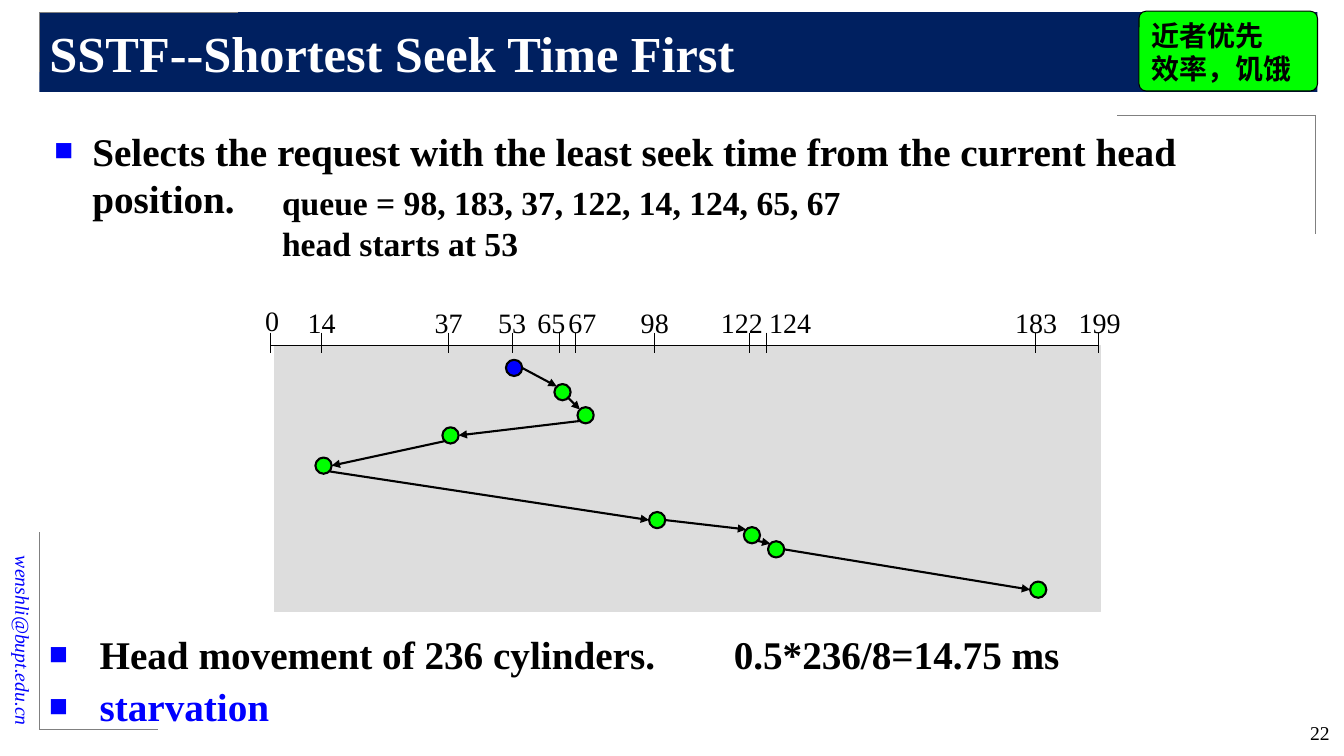
import pptx
import pptx.util
import pptx.dml.color
import pptx.enum.shapes
import pptx.enum.text
import pptx.oxml.ns
from lxml import etree
from itertools import pairwise

Pt = pptx.util.Pt
SHAPE = pptx.enum.shapes.MSO_SHAPE
ALIGN = pptx.enum.text.PP_ALIGN
ANCHOR = pptx.enum.text.MSO_ANCHOR
qn = pptx.oxml.ns.qn

# Content
TITLE = "SSTF--Shortest Seek Time First"
DEFINITION = ["Selects the request with the least seek time from the current head position."]
QUEUE = ["queue = 98, 183, 37, 122, 14, 124, 65, 67", "head starts at 53"]
RESULTS = ["Head movement of 236 cylinders.\t0.5*236/8=14.75 ms", "starvation"]
REMARK = ["近者优先", "效率，饥饿"]
EMAIL = "wenshli@bupt.edu.cn"
PAGE = "22"

# Cylinder, tick x, sideways shift of its label
TICKS = [
    ("0", 193, 1.4), ("14", 229.7, 0), ("37", 320.4, 0), ("53", 365.8, 0),
    ("65", 399.6, -5.7), ("67", 411.1, 5), ("98", 467.7, 0), ("122", 535.7, -5.8),
    ("124", 547.2, 17.3), ("183", 739.4, 0.7), ("199", 784.8, 0.7),
]
# Head stops in order: centre x, centre y, side where the arrow enters, side where it leaves
STOPS = [
    (367.2, 262.8, None, "E"), (401.8, 280.1, "NW", "SE"), (418.3, 296.6, "NW", "SW"),
    (321.8, 311, "E", "SW"), (231.1, 332.6, "E", "SE"), (469.4, 371.5, "W", "E"),
    (537.1, 382.3, "NW", "SE"), (554.4, 392.4, "NW", "E"), (741.6, 421.2, "W", None),
]
RADIUS = 5.8
DIAGONAL = RADIUS * 0.71
SIDES = {"E": (RADIUS, 0), "W": (-RADIUS, 0), "NW": (-DIAGONAL, -DIAGONAL),
         "SW": (-DIAGONAL, DIAGONAL), "SE": (DIAGONAL, DIAGONAL)}

# Corner decoration: corner point, then the far end of each arm
CORNERS = [
    ((28.1, 8.6), (28.1, 51.1), (169.9, 8.6)),
    ((28.1, 521.3), (28.1, 380.2), (113, 521.3)),
    ((939.6, 82.1), (939.6, 167), (797.8, 82.1)),
]
COLORS = {"navy": "002060", "white": "FFFFFF", "black": "000000", "blue": "0000FF",
          "green": "00FF00", "panel": "DDDDDD", "gray": "808080"}
SERIF = "Times New Roman"
CHINESE = "Noto Sans CJK SC"
AXIS_Y = 247

presentation = pptx.Presentation()
presentation.slide_width, presentation.slide_height = Pt(960), Pt(540)
slide = presentation.slides.add_slide(presentation.slide_layouts[1])


def rgb(name):
    return pptx.dml.color.RGBColor.from_string(COLORS[name])


def place(shape, left, top, width, height):
    shape.left, shape.top, shape.width, shape.height = Pt(left), Pt(top), Pt(width), Pt(height)


def add_bullet(paragraph, indent, tab):
    properties = paragraph._p.get_or_add_pPr()
    properties.set("marL", str(Pt(indent)))
    properties.set("indent", str(-Pt(indent)))
    color = etree.SubElement(properties, qn("a:buClr"))
    etree.SubElement(color, qn("a:srgbClr"), val=COLORS["blue"])
    etree.SubElement(properties, qn("a:buSzPct"), val="80000")
    etree.SubElement(properties, qn("a:buFont"), typeface=SERIF)
    etree.SubElement(properties, qn("a:buChar"), char="■")
    if tab:
        tabs = etree.SubElement(properties, qn("a:tabLst"))
        etree.SubElement(tabs, qn("a:tab"), pos=str(Pt(tab)), algn="l")


def write(shape, lines, size, colors=("black",), font=SERIF, bold=False, italic=False,
          align=ALIGN.LEFT, anchor=ANCHOR.TOP, wrap=True, indent=0, tab=0, space=0):
    frame = shape.text_frame
    frame.word_wrap = wrap
    frame.auto_size = pptx.enum.text.MSO_AUTO_SIZE.NONE
    frame.vertical_anchor = anchor
    for index, line in enumerate(lines):
        paragraph = frame.add_paragraph() if index else frame.paragraphs[0]
        paragraph.alignment = align
        paragraph.space_before = Pt(space if index else 0)
        if indent:
            add_bullet(paragraph, indent, tab)
        run = paragraph.add_run()
        run.text = line
        run.font.size, run.font.name = Pt(size), font
        run.font.bold, run.font.italic = bold, italic
        run.font.color.rgb = rgb(colors[min(index, len(colors) - 1)])
        etree.SubElement(run._r.get_or_add_rPr(), qn("a:ea"), typeface=font)


def add_text(left, top, width, height, lines, size, **style):
    box = slide.shapes.add_textbox(Pt(left), Pt(top), Pt(width), Pt(height))
    write(box, lines, size, **style)
    return box


def add_shape(kind, left, top, width, height, fill, line, weight):
    shape = slide.shapes.add_shape(kind, Pt(left), Pt(top), Pt(width), Pt(height))
    shape.shadow.inherit = False
    shape.fill.solid()
    shape.fill.fore_color.rgb = rgb(fill)
    shape.line.color.rgb = rgb(line)
    shape.line.width = Pt(weight)
    return shape


def add_line(start, end, color="black", weight=0.75, arrow=False):
    connector = slide.shapes.add_connector(
        pptx.enum.shapes.MSO_CONNECTOR.STRAIGHT, *map(Pt, (*start, *end)))
    connector.line.color.rgb = rgb(color)
    connector.line.width = Pt(weight)
    if arrow:
        etree.SubElement(connector.line._get_or_add_ln(), qn("a:tailEnd"), type="triangle")
    etree.SubElement(connector._element.spPr, qn("a:effectLst"))


# Frame decoration and e-mail
for corner, *ends in CORNERS:
    for end in ends:
        add_line(corner, end, "gray", 0.5)
email = add_text(-78.5, 418.3, 190, 24.5, [EMAIL], 14, colors=("blue",), italic=True,
                 align=ALIGN.RIGHT, anchor=ANCHOR.MIDDLE)
email.rotation = 90

# Title, definition and queue
title, body = slide.shapes.title, slide.placeholders[1]
place(title, 28.1, 8.6, 913, 57)
title.fill.solid()
title.fill.fore_color.rgb = rgb("navy")
write(title, [TITLE], 36, colors=("white",), bold=True, anchor=ANCHOR.MIDDLE)
place(body, 31.7, 87, 907, 78)
write(body, DEFINITION, 28, bold=True, indent=27)
add_text(194.4, 126.7, 417.6, 65.5, QUEUE, 24, bold=True, wrap=False)

# Cylinder axis
add_shape(SHAPE.RECTANGLE, 196, AXIS_Y, 590, 190, "panel", "panel", 0.75)
add_line((TICKS[0][1], AXIS_Y), (TICKS[-1][1], AXIS_Y))
for cylinder, x, shift in TICKS:
    add_line((x, AXIS_Y - 9.4), (x, AXIS_Y + 5))
    width = 14.4 + 10 * len(cylinder)
    top = 213 if cylinder == "0" else 214.5
    add_text(x + shift - width / 2, top, width, 31, [cylinder], 20,
             align=ALIGN.CENTER, wrap=False)

# Head path
for index, (x, y, _, _) in enumerate(STOPS):
    add_shape(SHAPE.OVAL, x - RADIUS, y - RADIUS, 2 * RADIUS, 2 * RADIUS,
              "green" if index else "blue", "black", 1.5)
for (x1, y1, _, leave), (x2, y2, enter, _) in pairwise(STOPS):
    (dx1, dy1), (dx2, dy2) = SIDES[leave], SIDES[enter]
    add_line((x1 + dx1, y1 + dy1), (x2 + dx2, y2 + dy2), weight=1.5, arrow=True)

# Results, remark and page number
add_text(28.1, 447, 792, 76, RESULTS, 28, colors=("black", "blue"), bold=True,
         indent=36, tab=489, space=3)
remark = add_shape(SHAPE.ROUNDED_RECTANGLE, 813.6, 8, 127.5, 57, "green", "black", 0.75)
remark.adjustments[0] = 0.09
write(remark, REMARK, 20, font=CHINESE, bold=True)
add_text(877, 511.2, 80, 26, [PAGE], 14, align=ALIGN.RIGHT)

presentation.save("out.pptx")
